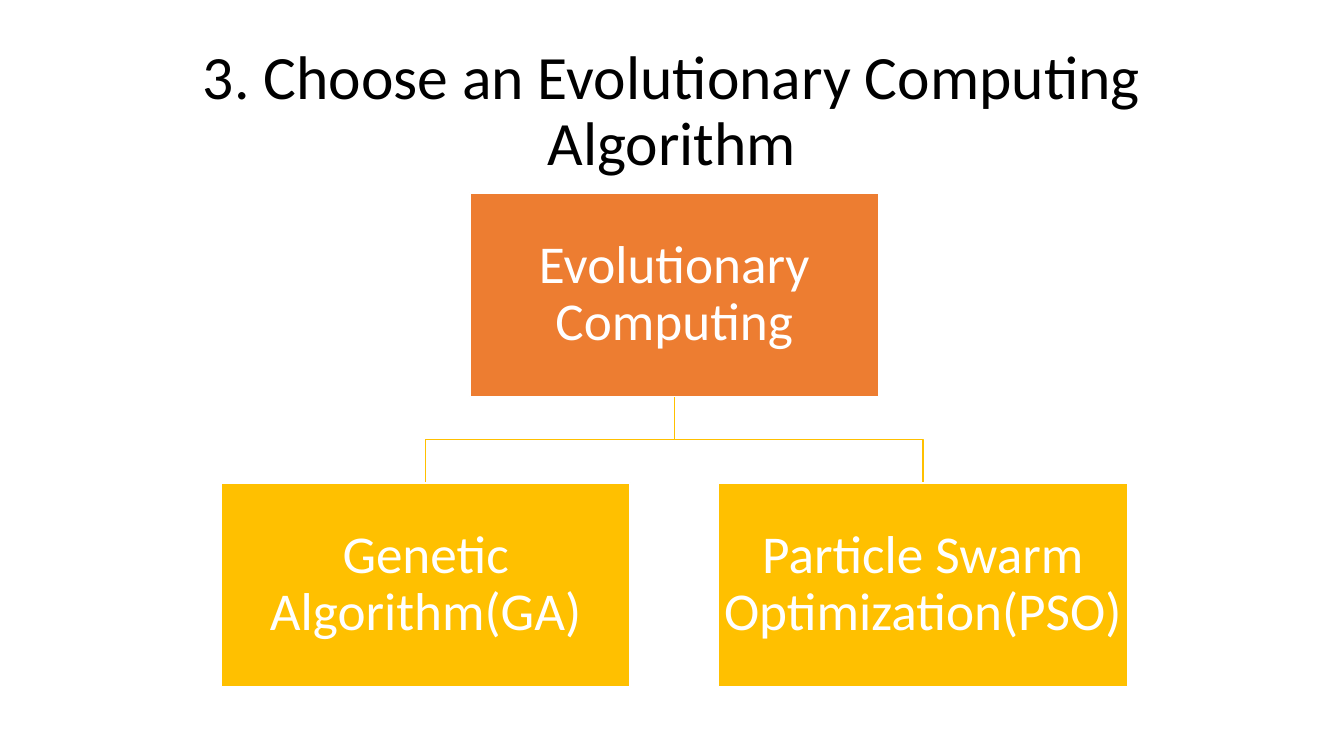
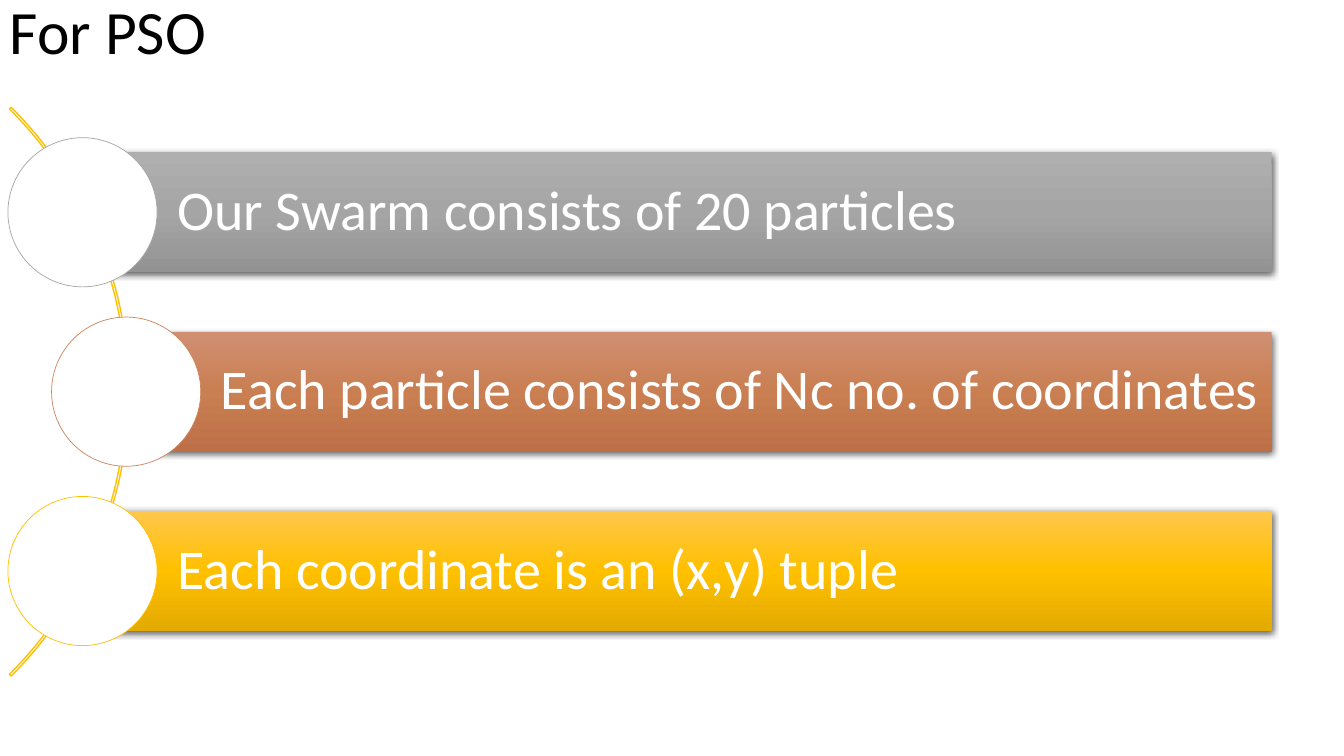
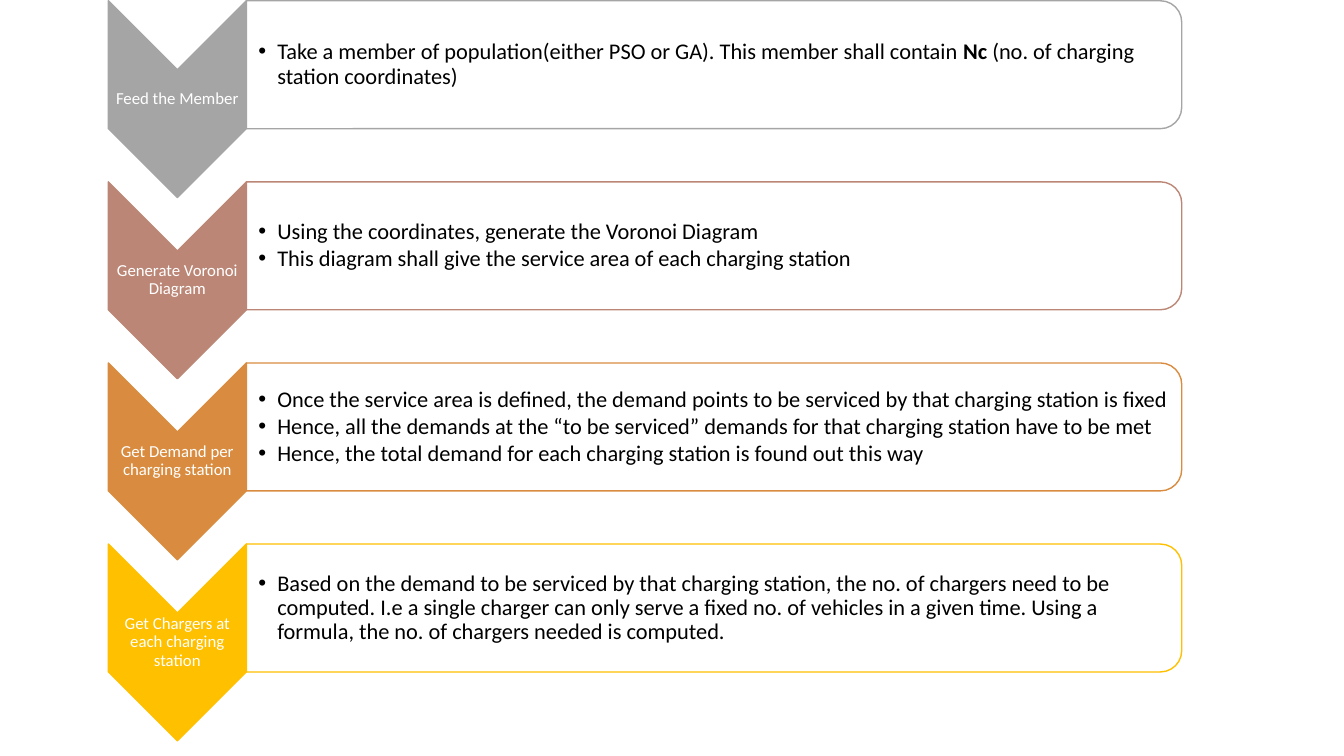
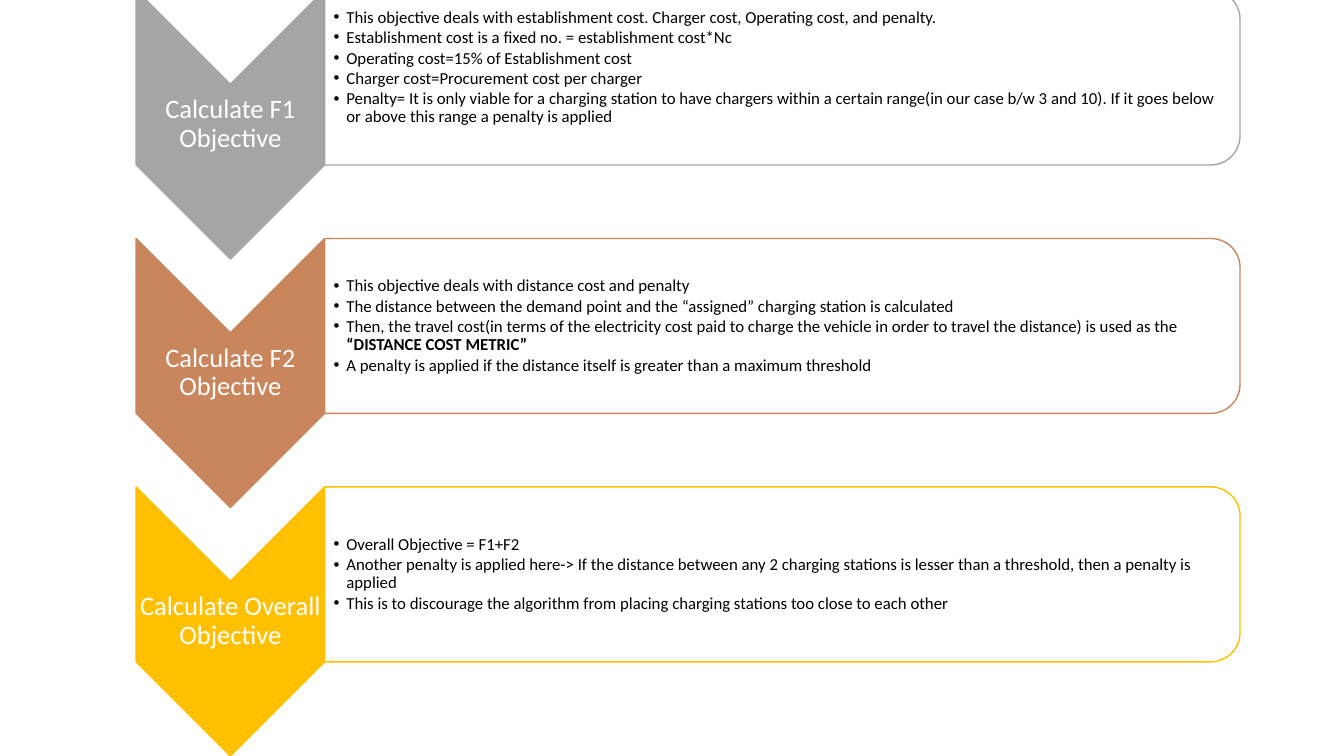
from copy import deepcopy
from dataclasses import dataclass

from lxml import etree
from pptx import Presentation
from pptx.dml.color import RGBColor
from pptx.enum.shapes import MSO_SHAPE
from pptx.enum.text import MSO_ANCHOR, MSO_AUTO_SIZE, PP_ALIGN
from pptx.oxml.ns import qn
from pptx.util import Cm, Pt

RECTANGLE = MSO_SHAPE.RECTANGLE
OVAL = MSO_SHAPE.OVAL
CHEVRON = MSO_SHAPE.CHEVRON
ROUNDED_TOP = MSO_SHAPE.ROUND_2_SAME_RECTANGLE
BLOCK_ARC = MSO_SHAPE.BLOCK_ARC
MIDDLE = MSO_ANCHOR.MIDDLE
NO_AUTOFIT = MSO_AUTO_SIZE.NONE
LEFT = PP_ALIGN.LEFT
CENTER = PP_ALIGN.CENTER
TITLE_ONLY = 5
BLANK = 6


@dataclass(frozen=True)
class Theme:
    """Colours and type sizes shared by the slides."""
    font: str = "Calibri"
    black: str = "000000"
    white: str = "FFFFFF"
    orange: str = "ED7D31"
    gold: str = "FFC000"
    gray: str = "A5A5A5"
    copper: str = "C9855C"
    rose: str = "BB8676"
    amber: str = "D98C3F"
    gray_gradient: tuple = ("AFAFAF", "A5A5A5", "939393")
    copper_gradient: tuple = ("CF8F72", "CA7F52", "BD7047")
    gold_gradient: tuple = ("FFC74B", "FFC000", "E3AA00")
    title_size: float = 44
    bar_size: float = 40
    node_size: float = 38
    line_spacing: float = 0.9


THEME = Theme()


@dataclass(frozen=True)
class Box:
    """A rectangle in centimetres."""
    left: float
    top: float
    width: float
    height: float

    @property
    def center(self):
        """Return the middle point."""
        return self.left + self.width / 2, self.top + self.height / 2

    def emu(self):
        """Return the four lengths for python-pptx."""
        return [Cm(value) for value in (self.left, self.top, self.width, self.height)]

    def turned(self):
        """Return the box which covers this one after a quarter turn."""
        x, y = self.center
        return Box(x - self.height / 2, y - self.width / 2, self.height, self.width)


@dataclass(frozen=True)
class Step:
    """One chevron with its bullets, where ** marks bold text."""
    label: str
    color: str
    bullets: tuple
    bottom_inset: float = 0.03


@dataclass(frozen=True)
class ListStyle:
    """Measures of one list of steps."""
    chevron_width: float
    chevron_height: float
    label_size: float
    bullet_size: float
    inset: float
    indent: float
    gap: float


def set_values(target, values):
    """Set each named attribute of the target."""
    for name, value in values.items():
        setattr(target, name, value)


def add_shape(slide, kind, box, fill=None, line=None, line_width=1, rotation=0):
    """Add a preset shape without shadow."""
    shape = slide.shapes.add_shape(kind, *box.emu())
    shape.shadow.inherit = False
    shape.rotation = rotation
    paint(shape, fill, line, line_width)
    return shape


def paint(shape, fill=None, line=None, line_width=1):
    """Set the fill and outline, or clear them."""
    if fill:
        shape.fill.solid()
        shape.fill.fore_color.rgb = RGBColor.from_string(fill)
    else:
        shape.fill.background()
    if line:
        shape.line.color.rgb = RGBColor.from_string(line)
        shape.line.width = Pt(line_width)
    else:
        shape.line.fill.background()


def set_frame(frame, left=0.08, top=0.08, right=0.08, bottom=0.08):
    """Prepare a wrapped, vertically centred text frame."""
    set_values(frame, {
        "word_wrap": True,
        "auto_size": NO_AUTOFIT,
        "vertical_anchor": MIDDLE,
        "margin_left": Cm(left),
        "margin_top": Cm(top),
        "margin_right": Cm(right),
        "margin_bottom": Cm(bottom),
    })


def write(paragraph, text, size, color, alignment):
    """Write a paragraph, with bold between double asterisks."""
    set_values(paragraph, {"alignment": alignment, "line_spacing": THEME.line_spacing})
    for index, part in enumerate(text.split("**")):
        if part:
            run = paragraph.add_run()
            run.text = part
            set_values(run.font, {"name": THEME.font, "size": Pt(size), "bold": index % 2 == 1})
            run.font.color.rgb = RGBColor.from_string(color)


def add_bullet(paragraph, indent):
    """Give the paragraph a hanging round bullet."""
    properties = paragraph._p.get_or_add_pPr()
    properties.set("marL", str(Cm(indent)))
    properties.set("indent", str(-Cm(indent)))
    etree.SubElement(properties, qn("a:buFont"), typeface="Arial")
    etree.SubElement(properties, qn("a:buChar"), char="•")


def add_title(slide, text, box, alignment):
    """Move and write the title placeholder."""
    title = slide.shapes.title
    left, top, width, height = box.emu()
    set_values(title, {"left": left, "top": top, "width": width, "height": height})
    set_frame(title.text_frame, 0.25, 0.13, 0.25, 0.13)
    write(title.text_frame.paragraphs[0], text, THEME.title_size, THEME.black, alignment)


def add_node(slide, text, box, fill):
    """Add one box of the tree."""
    shape = add_shape(slide, RECTANGLE, box, fill, THEME.white)
    set_frame(shape.text_frame)
    write(shape.text_frame.paragraphs[0], text, THEME.node_size, THEME.white, CENTER)


def add_branch(slide, start, end):
    """Add a right-angled line from one node down to another."""
    (start_x, start_y), (end_x, end_y) = start, end
    middle_y = (start_y + end_y) / 2
    builder = slide.shapes.build_freeform(Cm(start_x), Cm(start_y))
    corners = ((start_x, middle_y), (end_x, middle_y), end)
    builder.add_line_segments([(Cm(x), Cm(y)) for x, y in corners], close=False)
    branch = builder.convert_to_shape()
    branch.shadow.inherit = False
    paint(branch, line=THEME.gold)


def add_tree(slide, box, root, children):
    """Add a root node with a row of children below."""
    node_width, node_height = 10.3, 5.13
    middle = box.center[0]
    child_top = box.top + box.height - node_height
    pitch = (box.width - node_width) / (len(children) - 1)
    child_boxes = [Box(box.left + index * pitch, child_top, node_width, node_height)
                   for index in range(len(children))]
    for child_box in child_boxes:
        add_branch(slide, (middle, box.top + node_height), (child_box.center[0], child_top))
    root_box = Box(middle - node_width / 2, box.top, node_width, node_height)
    add_node(slide, root, root_box, THEME.orange)
    for text, child_box in zip(children, child_boxes):
        add_node(slide, text, child_box, THEME.gold)


def set_gradient(shape, colors):
    """Fill the shape with an even gradient from top to bottom."""
    shape.fill.gradient()
    shape.fill.gradient_angle = 270
    stops = next(shape.element.spPr.iter(qn("a:gsLst")))
    stops.append(deepcopy(stops[0]))
    for index, (stop, color) in enumerate(zip(shape.fill.gradient_stops, colors)):
        stop.position = index / (len(colors) - 1)
        stop.color.rgb = RGBColor.from_string(color)


def add_shadow(shape):
    """Give the shape a soft shadow below."""
    effects = shape.element.spPr.find(qn("a:effectLst"))
    shadow = etree.SubElement(effects, qn("a:outerShdw"), blurRad=str(Pt(4.5)),
                              dist=str(Pt(1.5)), dir="5400000", algn="ctr", rotWithShape="0")
    color = etree.SubElement(shadow, qn("a:srgbClr"), val=THEME.black)
    etree.SubElement(color, qn("a:alpha"), val="63000")


def add_arc_list(slide, box, items):
    """Add bars with circles that follow an arc."""
    circle_size, bar_height, arc_size, bulge = 3.76, 3.02, 20.27, 1.1
    arc_box = Box(box.left - 17.22, box.center[1] - arc_size / 2, arc_size, arc_size)
    arc = add_shape(slide, BLOCK_ARC, arc_box, line=THEME.gold)
    for index, value in enumerate((189, 27, 0.003)):
        arc.adjustments[index] = value
    pitch = (box.height - circle_size) / (len(items) - 1)
    for index, (text, gradient, outline) in enumerate(items):
        left = box.left + bulge * (index % 2)
        circle = Box(left, box.top + index * pitch, circle_size, circle_size)
        x, y = circle.center
        bar_box = Box(x, y - bar_height / 2, box.left + box.width - x, bar_height)
        bar = add_shape(slide, RECTANGLE, bar_box)
        set_gradient(bar, gradient)
        add_shadow(bar)
        set_frame(bar.text_frame, left=2.39, right=0.2)
        write(bar.text_frame.paragraphs[0], text, THEME.bar_size, THEME.white, LEFT)
        add_shape(slide, OVAL, circle, THEME.white, outline, 0.5)


def add_text_box(slide, box, **insets):
    """Add an empty text box and return its frame."""
    frame = slide.shapes.add_textbox(*box.emu()).text_frame
    set_frame(frame, **insets)
    return frame


def add_step(slide, box, step, style):
    """Add a downward chevron with a panel of bullets beside it."""
    width, height = style.chevron_width, style.chevron_height
    chevron = Box(box.left, box.top, width, height)
    add_shape(slide, CHEVRON, chevron.turned(), step.color, step.color, rotation=90)
    label_box = Box(box.left, box.top + width / 2, width, height - width)
    label = add_text_box(slide, label_box, left=0.03, top=0.03, right=0.03, bottom=0.03)
    write(label.paragraphs[0], step.label, style.label_size, THEME.white, CENTER)

    panel = Box(box.left + width, box.top, box.width - width, height * 0.65)
    add_shape(slide, ROUNDED_TOP, panel.turned(), THEME.white, step.color, rotation=90)
    frame = add_text_box(slide, panel, left=style.inset, top=0.03, right=0.18,
                         bottom=step.bottom_inset)
    for index, text in enumerate(step.bullets):
        paragraph = frame.add_paragraph() if index else frame.paragraphs[0]
        add_bullet(paragraph, style.indent)
        paragraph.space_after = Pt(style.gap)
        write(paragraph, text, style.bullet_size, THEME.black, LEFT)


def add_step_list(slide, box, steps, style):
    """Spread the steps evenly down the box."""
    pitch = (box.height - style.chevron_height) / (len(steps) - 1)
    for index, step in enumerate(steps):
        row = Box(box.left, box.top + index * pitch, box.width, style.chevron_height)
        add_step(slide, row, step, style)


def build_algorithm_slide(slide):
    """Build the slide on the choice of algorithm."""
    add_title(slide, "3. Choose an Evolutionary Computing Algorithm",
              Box(2.33, 1, 29.21, 3.68), CENTER)
    add_tree(slide, Box(5.58, 4.86, 22.83, 12.44), "Evolutionary Computing",
             ("Genetic Algorithm(GA)", "Particle Swarm Optimization(PSO)"))


def build_swarm_slide(slide):
    """Build the slide on the swarm."""
    add_title(slide, "For PSO", Box(0, -0.97, 29.21, 3.68), LEFT)
    add_arc_list(slide, Box(0.2, 3.47, 31.85, 12.8), (
        ("Our Swarm consists of 20 particles", THEME.gray_gradient, THEME.gray),
        ("Each particle consists of Nc no. of coordinates",
         THEME.copper_gradient, THEME.copper),
        ("Each coordinate is an (x,y) tuple", THEME.gold_gradient, THEME.gold),
    ))


def build_evaluation_slide(slide):
    """Build the slide on the steps from member to chargers."""
    steps = (
        Step("Feed the Member", THEME.gray, (
            "Take a member of population(either PSO or GA). This member shall contain "
            "**Nc** (no. of charging station coordinates)",
        )),
        Step("Generate Voronoi Diagram", THEME.rose, (
            "Using the coordinates, generate the Voronoi Diagram",
            "This diagram shall give the service area of each charging station",
        )),
        Step("Get Demand per charging station", THEME.amber, (
            "Once the service area is defined, the demand points to be serviced by that "
            "charging station is fixed",
            "Hence, all the demands at the “to be serviced” demands for that charging "
            "station have to be met",
            "Hence, the total demand for each charging station is found out this way",
        )),
        Step("Get Chargers at each charging station", THEME.gold, (
            "Based on the demand to be serviced by that charging station, the no. of "
            "chargers need to be computed. I.e a single charger can only serve a fixed no. "
            "of vehicles in a given time. Using a formula, the no. of chargers needed is "
            "computed.",
        )),
    )
    style = ListStyle(chevron_width=3.48, chevron_height=4.96, label_size=12,
                      bullet_size=16, inset=0.3, indent=0.48, gap=2)
    add_step_list(slide, Box(2.73, 0.02, 27.05, 18.65), steps, style)


def build_objective_slide(slide):
    """Build the slide on the objectives."""
    steps = (
        Step("Calculate F1 Objective", THEME.gray, (
            "This objective deals with establishment cost. Charger cost, Operating cost, "
            "and penalty.",
            "Establishment cost is a fixed no. = establishment cost*Nc",
            "Operating cost=15% of Establishment cost",
            "Charger cost=Procurement cost per charger",
            "Penalty= It is only viable for a charging station to have chargers within a "
            "certain range(in our case b/w 3 and 10). If it goes below or above this range "
            "a penalty is applied",
        ), bottom_inset=0.53),
        Step("Calculate F2 Objective", THEME.copper, (
            "This objective deals with distance cost and penalty",
            "The distance between the demand point and the “assigned” charging station is "
            "calculated",
            "Then, the travel cost(in terms of the electricity cost paid to charge the "
            "vehicle in order to travel the distance) is used as the "
            "**“DISTANCE COST METRIC”**",
            "A penalty is applied if the distance itself is greater than a maximum threshold",
        )),
        Step("Calculate Overall Objective", THEME.gold, (
            "Overall Objective = F1+F2",
            "Another penalty is applied here-> If the distance between any 2 charging "
            "stations is lesser than a threshold, then a penalty is applied",
            "This is to discourage the algorithm from placing charging stations too close "
            "to each other",
        )),
    )
    style = ListStyle(chevron_width=4.75, chevron_height=6.78, label_size=19,
                      bullet_size=12, inset=0.23, indent=0.32, gap=1.6)
    add_step_list(slide, Box(3.43, -0.25, 27.82, 19.3), steps, style)


def main():
    """Build and save the presentation."""
    presentation = Presentation()
    set_values(presentation, {"slide_width": Cm(33.87), "slide_height": Cm(19.05)})
    pages = (
        (TITLE_ONLY, build_algorithm_slide),
        (TITLE_ONLY, build_swarm_slide),
        (BLANK, build_evaluation_slide),
        (BLANK, build_objective_slide),
    )
    for layout, build in pages:
        build(presentation.slides.add_slide(presentation.slide_layouts[layout]))
    presentation.save("out.pptx")


if __name__ == "__main__":
    main()
